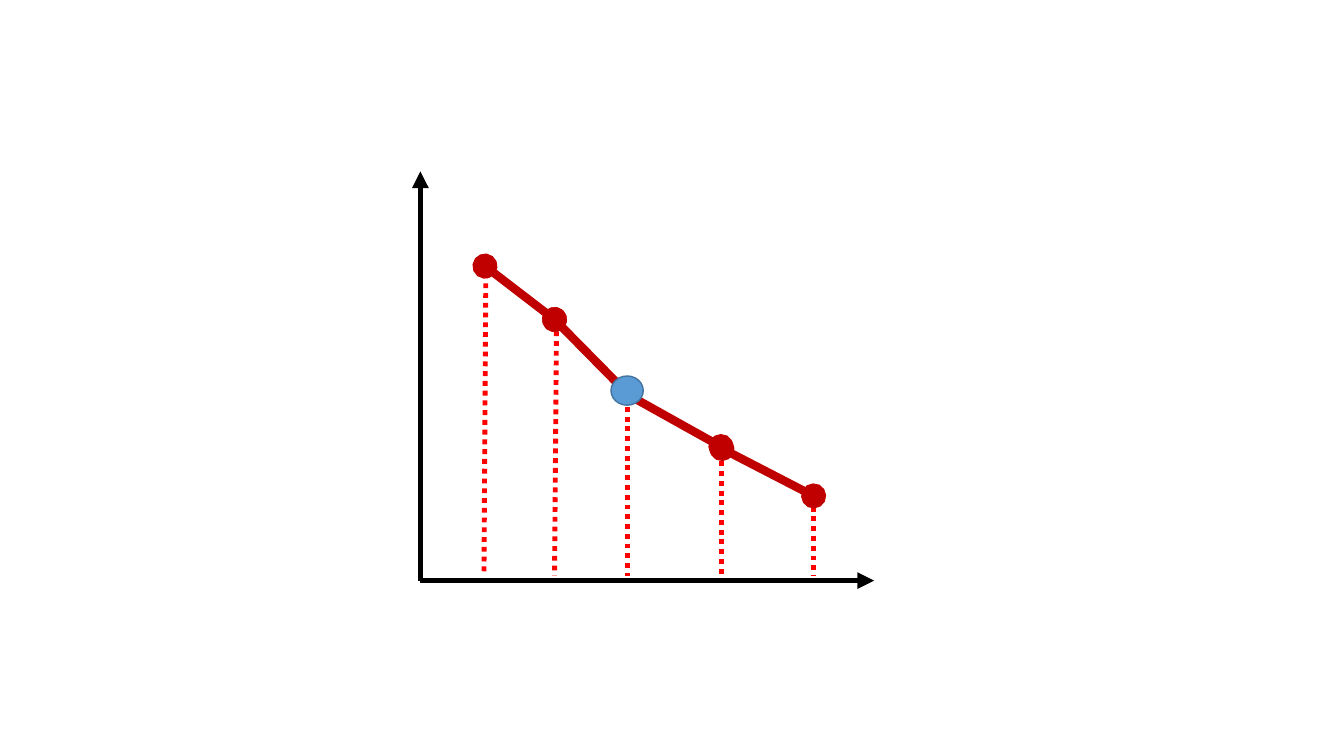
from lxml.etree import SubElement
from pptx import Presentation
from pptx.dml.color import RGBColor
from pptx.enum.dml import MSO_LINE
from pptx.enum.shapes import MSO_CONNECTOR, MSO_SHAPE
from pptx.oxml.ns import qn
from pptx.util import Inches, Pt

BLACK = RGBColor(0x00, 0x00, 0x00)
RED = RGBColor(0xFF, 0x00, 0x00)
CRIMSON = RGBColor(0xC0, 0x00, 0x00)
BLUE = RGBColor(0x5B, 0x9B, 0xD5)
NAVY = RGBColor(0x43, 0x73, 0x9E)

deck = Presentation()
deck.slide_width = Inches(13.33)
deck.slide_height = Inches(7.5)
slide = deck.slides.add_slide(deck.slide_layouts[6])


def draw_line(start, end, color, width, dash=None, head=None, tail=None):
    points = [Inches(value) for value in (*start, *end)]
    link = slide.shapes.add_connector(MSO_CONNECTOR.STRAIGHT, *points)
    link.line.color.rgb = color
    link.line.width = Pt(width)
    if dash:
        link.line.dash_style = dash
    ln = link.get_or_add_ln()
    for tag, kind in (("a:headEnd", head), ("a:tailEnd", tail)):
        if kind:
            SubElement(ln, qn(tag), type=kind)
    SubElement(link.element.spPr, qn("a:effectLst"))


# Axes
origin = (4.17, 5.76)
for tip in ((8.67, 5.76), (4.17, 1.7)):
    draw_line(origin, tip, BLACK, 4, tail="triangle")

# Dotted drop lines: top x, top y, foot x
drops = [
    (4.82, 2.52, 4.8),
    (5.52, 3.19, 5.5),
    (6.22, 3.94, 6.22),
    (7.16, 4.48, 7.16),
    (8.07, 4.93, 8.07),
]
for x, y, foot in drops:
    draw_line((x, y), (foot, 5.71), RED, 3.5, dash=MSO_LINE.ROUND_DOT)

# Curve segments with their round ends
curve = [
    ((4.81, 2.64), (5.5, 3.17), "oval", "oval"),
    ((5.5, 3.17), (6.22, 3.9), "oval", None),
    ((6.2, 3.9), (7.15, 4.43), None, "oval"),
    ((7.16, 4.45), (8.07, 4.92), "oval", "oval"),
]
for start, end, head, tail in curve:
    draw_line(start, end, CRIMSON, 6, head=head, tail=tail)

# Middle point
dot = slide.shapes.add_shape(
    MSO_SHAPE.OVAL, Inches(6.06), Inches(3.73), Inches(0.32), Inches(0.29)
)
dot.shadow.inherit = False
dot.fill.solid()
dot.fill.fore_color.rgb = BLUE
dot.line.color.rgb = NAVY
dot.line.width = Pt(1)

deck.save("out.pptx")
